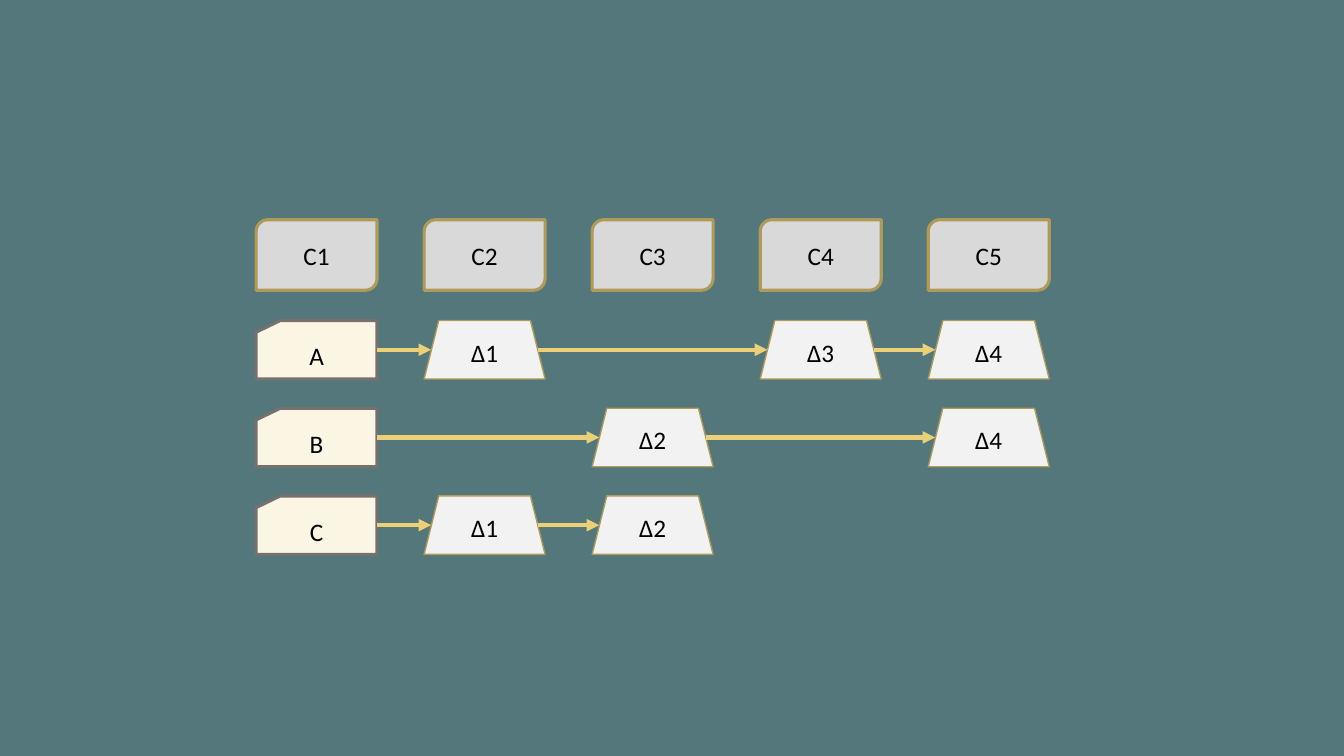
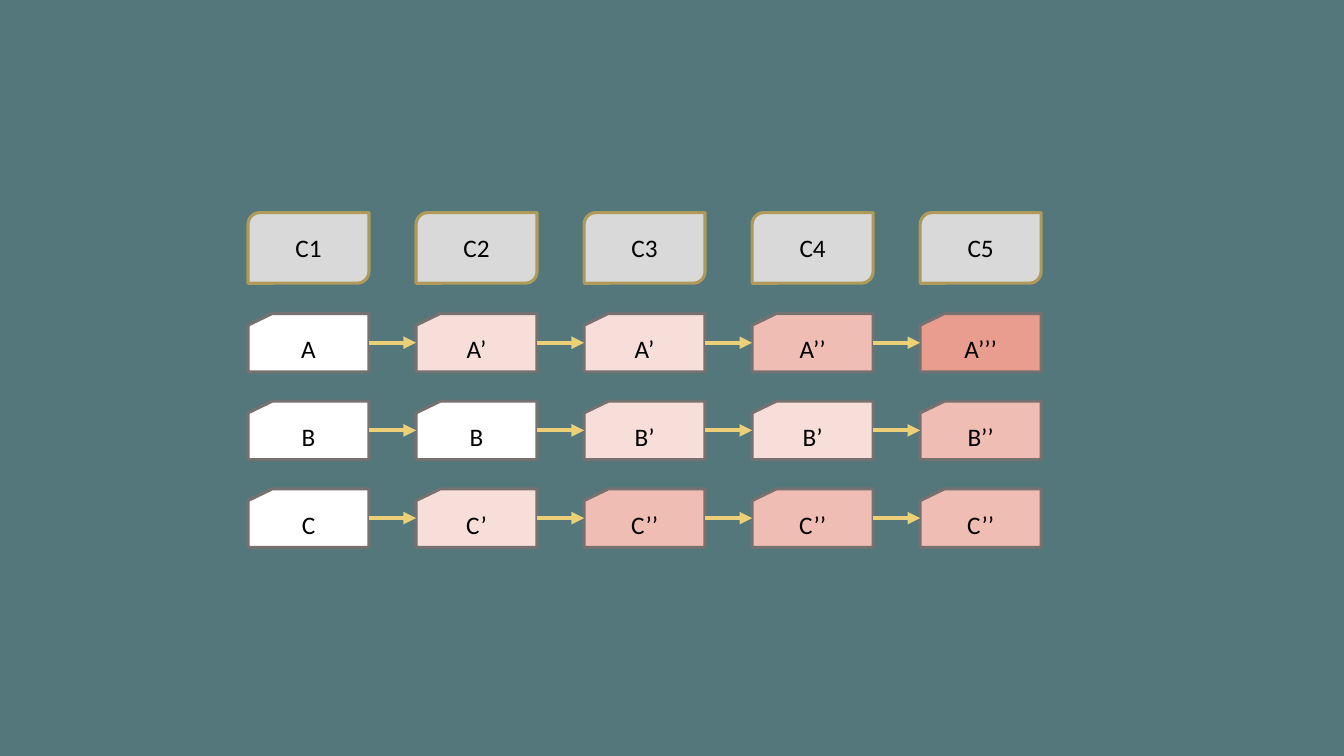
from collections import namedtuple

from lxml.etree import SubElement
from pptx import Presentation
from pptx.dml.color import RGBColor
from pptx.enum.shapes import MSO_CONNECTOR as Connector, MSO_SHAPE as Shape
from pptx.enum.text import MSO_ANCHOR as Anchor, PP_ALIGN as Align
from pptx.oxml.ns import qn
from pptx.util import Inches, Pt

COLORS = {
    "background": "53777A", "text": "000000", "arrow": "ECD078",
    "gold": "AF9A59", "gray": "767171",
    "header": "D9D9D9", "cream": "FBF6E4", "delta": "F2F2F2",
    "version0": "FFFFFF", "version1": "F7DED9",
    "version2": "F0BDB4", "version3": "E89D8E",
}
FONT = {"name": "Calibri", "size": Pt(18)}

Box = namedtuple("Box", "left top width height")
# inset: distance from the side of the box to the slanted edge at mid height
Style = namedtuple("Style", "shape line weight inset")
HEADER = Style(Shape.ROUND_2_DIAG_RECTANGLE, "gold", 2.25, 0)
CARD = Style(Shape.FLOWCHART_CARD, "gray", 2.25, 0)
DELTA = Style(Shape.TRAPEZOID, "gold", 1, 0.07)

COLUMNS = ["C1", "C2", "C3", "C4", "C5"]
COLUMN_STEP, ROW_STEP, FIRST_ROW = 5 / 3, 0.87, 1.0
TILE_WIDTH, HEADER_HEIGHT, TILE_HEIGHT = 1.2, 0.7, 0.58
LEFT_SITE, RIGHT_SITE = 1, 3

# One list per file, one entry per column; None leaves the column empty
DELTA_ROWS = [
    ["A", "∆1", None, "∆3", "∆4"],
    ["B", None, "∆2", None, "∆4"],
    ["C", "∆1", "∆2", None, None],
]
SNAPSHOT_ROWS = [
    ["A", "A’", "A’", "A’’", "A’’’"],
    ["B", "B", "B’", "B’", "B’’"],
    ["C", "C’", "C’’", "C’’", "C’’"],
]


def color(name):
    return RGBColor.from_string(COLORS[name])


def add_tile(page, box, text, style, fill):
    tile = page.shapes.add_shape(style.shape, *(Inches(value) for value in box))
    tile.shadow.inherit = False
    tile.fill.solid()
    tile.fill.fore_color.rgb = color(fill)
    tile.line.color.rgb = color(style.line)
    tile.line.width = Pt(style.weight)
    tile.text_frame.vertical_anchor = Anchor.MIDDLE
    para = tile.text_frame.paragraphs[0]
    para.alignment = Align.CENTER
    span = para.add_run()
    span.text = text
    span.font.color.rgb = color("text")
    for key, value in FONT.items():
        setattr(span.font, key, value)
    return tile


def add_arrow(page, start, start_inset, end, end_inset):
    arrow = page.shapes.add_connector(Connector.STRAIGHT, 0, 0, 0, 0)
    arrow.begin_connect(start, RIGHT_SITE)
    arrow.end_connect(end, LEFT_SITE)
    # Meet the slanted edges rather than the bounding boxes
    arrow.begin_x -= Inches(start_inset)
    arrow.end_x += Inches(end_inset)
    arrow.line.color.rgb = color("arrow")
    arrow.line.width = Pt(3)
    SubElement(arrow.line._get_or_add_ln(), qn("a:tailEnd"), type="triangle")
    SubElement(arrow._element.spPr, qn("a:effectLst"))


def add_headers(page, left, top):
    for index, name in enumerate(COLUMNS):
        box = Box(left + index * COLUMN_STEP, top, TILE_WIDTH, HEADER_HEIGHT)
        add_tile(page, box, name, HEADER, "header")


def add_row(page, left, top, labels, choose_look):
    """Place one file's tiles and join each to the one before it."""
    previous = None
    for index, label in enumerate(labels):
        if label is None:
            continue
        style, fill = choose_look(label)
        box = Box(left + index * COLUMN_STEP, top, TILE_WIDTH, TILE_HEIGHT)
        tile = add_tile(page, box, label, style, fill)
        if previous:
            add_arrow(page, *previous, tile, style.inset)
        previous = tile, style.inset


def delta_look(label):
    return (DELTA, "delta") if label.startswith("∆") else (CARD, "cream")


def snapshot_look(label):
    return CARD, f"version{label.count('’')}"


def add_history_slide(deck, left, top, rows, choose_look):
    page = deck.slides.add_slide(deck.slide_layouts[6])
    page.background.fill.solid()
    page.background.fill.fore_color.rgb = color("background")
    add_headers(page, left, top)
    for index, labels in enumerate(rows):
        row_top = top + FIRST_ROW + index * ROW_STEP
        add_row(page, left, row_top, labels, choose_look)


def main():
    deck = Presentation()
    deck.slide_width, deck.slide_height = Inches(13.33), Inches(7.5)
    # Changes stored as differences
    add_history_slide(deck, 2.54, 2.18, DELTA_ROWS, delta_look)
    # Changes stored as full versions
    add_history_slide(deck, 2.46, 2.11, SNAPSHOT_ROWS, snapshot_look)
    deck.save("out.pptx")


if __name__ == "__main__":
    main()
